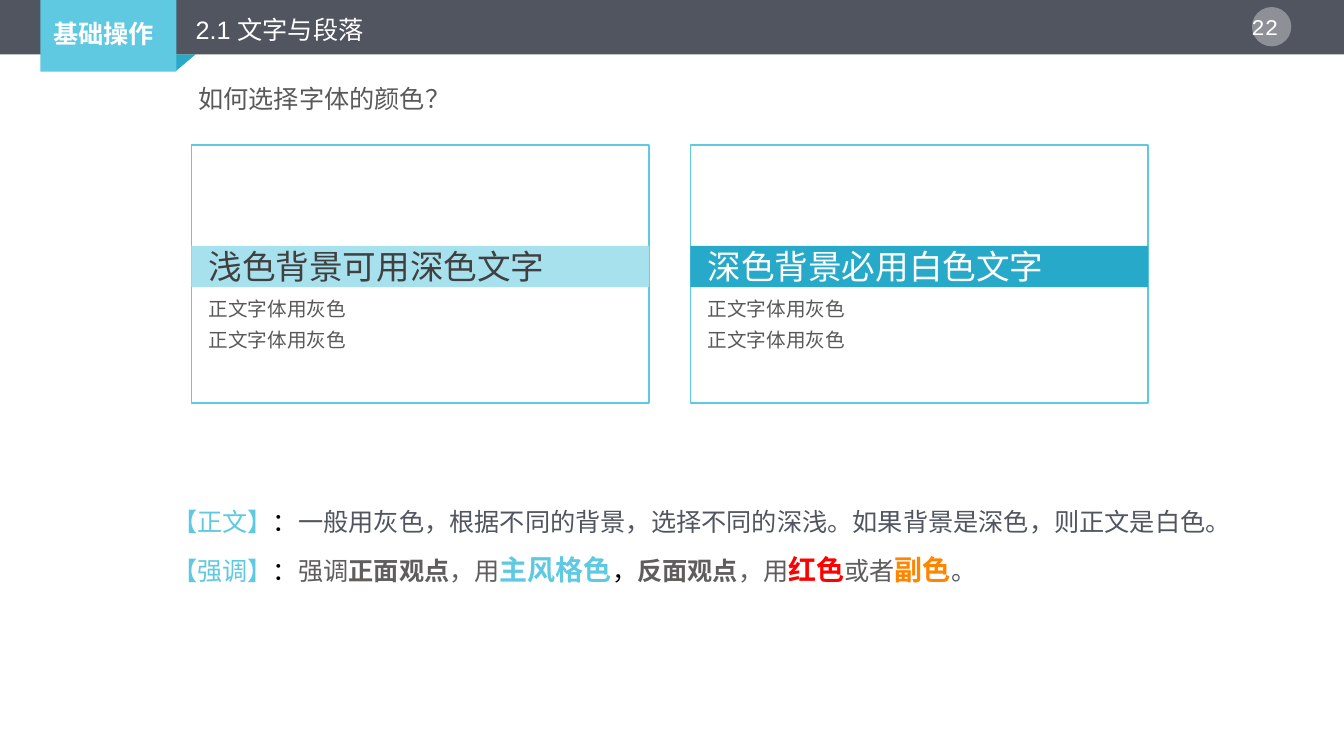
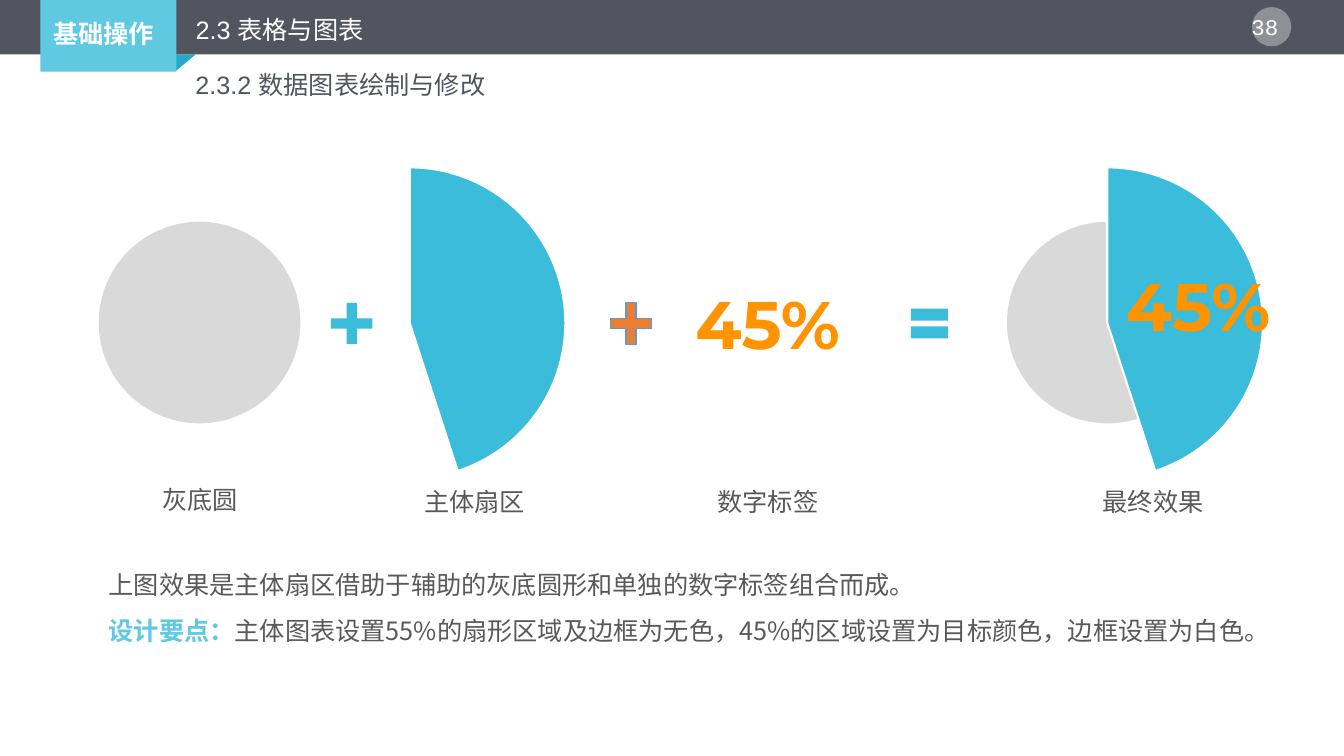
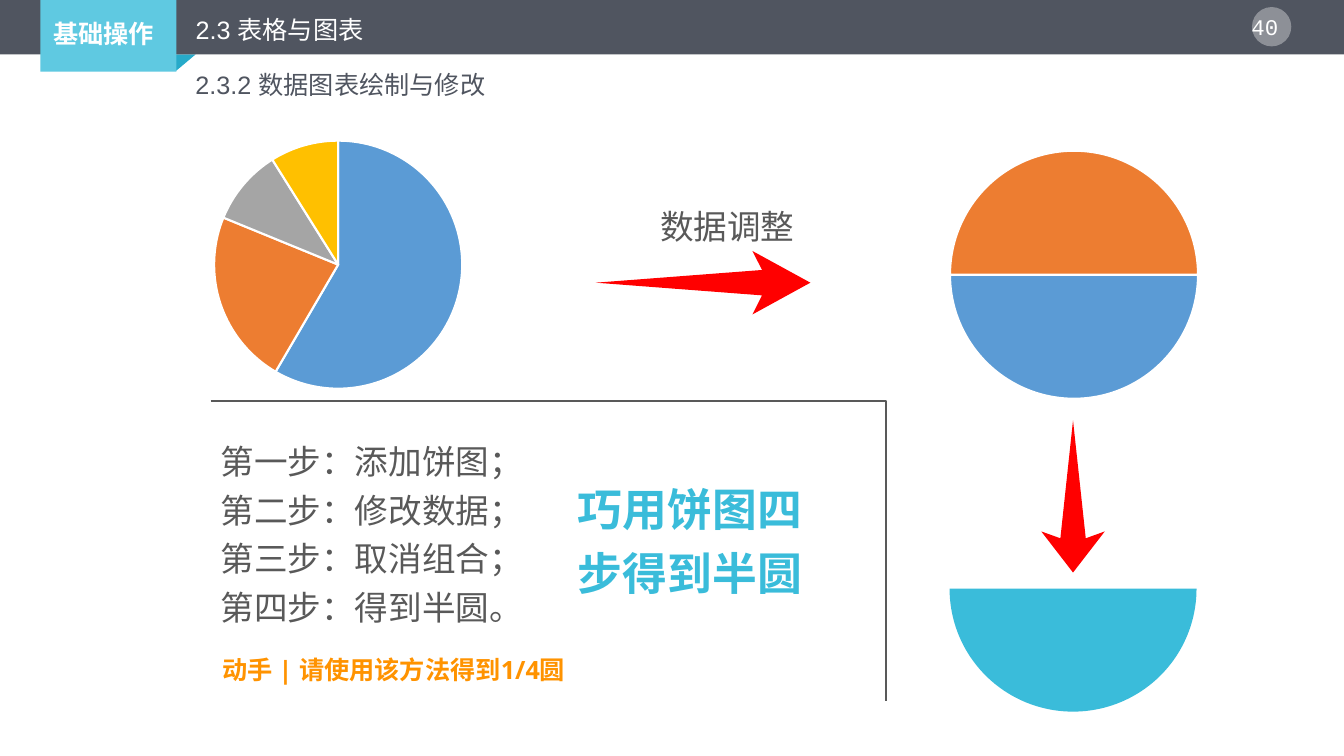
from dataclasses import dataclass
from typing import NamedTuple, Optional

import pptx
import pptx.chart.data
import pptx.dml.color
import pptx.enum.chart
import pptx.enum.lang
import pptx.enum.shapes
import pptx.enum.text
import pptx.oxml
import pptx.oxml.ns
import pptx.util

RGB = pptx.dml.color.RGBColor
SHAPE = pptx.enum.shapes.MSO_SHAPE
ALIGN = pptx.enum.text.PP_ALIGN
AUTO_SIZE = pptx.enum.text.MSO_AUTO_SIZE
qn = pptx.oxml.ns.qn

WHITE = RGB(0xFF, 0xFF, 0xFF)
BLACK = RGB(0, 0, 0)
SLATE = RGB(0x50, 0x55, 0x60)
GRAY = RGB(0x59, 0x59, 0x59)
WARM_GRAY = RGB(0x5F, 0x5E, 0x5C)
DARK_GRAY = RGB(0x40, 0x40, 0x40)
DISC_GRAY = RGB(0xD9, 0xD9, 0xD9)
SKY = RGB(0x5F, 0xC9, 0xE1)
PALE_SKY = RGB(0xA8, 0xE1, 0xEE)
DEEP_SKY = RGB(0x27, 0xAA, 0xC9)
CYAN = RGB(0x3A, 0xBC, 0xDA)
RED = RGB(0xFF, 0, 0)
AMBER = RGB(0xFF, 0x93, 0)
DARK_AMBER = RGB(0xFF, 0x85, 0)
BLUE = RGB(0x5B, 0x9B, 0xD5)
ORANGE = RGB(0xED, 0x7D, 0x31)
MID_GRAY = RGB(0xA5, 0xA5, 0xA5)
YELLOW = RGB(0xFF, 0xC0, 0)

ARIAL, NOTO, MONO = "Arial", "Noto Sans CJK SC", "Courier New"

# The grid has square cells of a tenth of an inch.
CELL = 0.1
COLS, ROWS = 133.33, 75


def grid(cells: float) -> int:
    """Length of a number of grid cells in EMU."""
    return pptx.util.Inches(cells * CELL)


class Box(NamedTuple):
    col: float
    row: float
    cols: float
    rows: float

    def emu(self) -> list[int]:
        return [grid(v) for v in self]


@dataclass(frozen=True)
class Run:
    text: str
    color: RGB = GRAY
    size: float = 18
    bold: bool = False
    font: str = NOTO


@dataclass(frozen=True)
class Para:
    runs: list[Run]
    spacing: float = 1.0
    align: ALIGN = ALIGN.LEFT


@dataclass(frozen=True)
class Card:
    col: float
    band: RGB
    title: str
    title_color: RGB


class Label(NamedTuple):
    col: float
    row: float
    cols: float
    text: str


def write(tf, paras: list[Para]) -> None:
    for i, para in enumerate(paras):
        p = tf.paragraphs[0] if i == 0 else tf.add_paragraph()
        p.line_spacing = para.spacing
        p.alignment = para.align
        for run in para.runs:
            r = p.add_run()
            r.text = run.text
            r.font.size = pptx.util.Pt(run.size)
            r.font.bold = run.bold
            r.font.name = run.font
            r.font.color.rgb = run.color
            r.font.language_id = pptx.enum.lang.MSO_LANGUAGE_ID.SIMPLIFIED_CHINESE
            ea = pptx.oxml.parse_xml(
                f'<a:ea {pptx.oxml.ns.nsdecls("a")} typeface="{NOTO}"/>')
            r._r.get_or_add_rPr().append(ea)


def add_text(shapes, box: Box, *paras: Para, wrap: bool = False) -> None:
    tf = shapes.add_textbox(*box.emu()).text_frame
    tf.word_wrap = wrap
    tf.auto_size = AUTO_SIZE.SHAPE_TO_FIT_TEXT
    write(tf, list(paras))


def paint(sp, fill: Optional[RGB], line: Optional[RGB] = None, width: float = 1) -> None:
    sp.shadow.inherit = False
    if fill is None:
        sp.fill.background()
    else:
        sp.fill.solid()
        sp.fill.fore_color.rgb = fill
    if line is None:
        sp.line.fill.background()
    else:
        sp.line.color.rgb = line
        sp.line.width = pptx.util.Pt(width)


def add_shape(shapes, kind: SHAPE, box: Box, fill: RGB, line: Optional[RGB] = None):
    sp = shapes.add_shape(kind, *box.emu())
    paint(sp, fill, line)
    return sp


def add_outline(shapes, points: list[tuple[float, float]], closed: bool = True):
    """Freeform through points given in grid cells."""
    start, *rest = [(grid(x), grid(y)) for x, y in points]
    builder = shapes.build_freeform(*start)
    builder.add_line_segments(rest, close=closed)
    return builder.convert_to_shape()


def add_arrow(shapes, box: Box, rotation: float = 0) -> None:
    """Tapered arrow that points right before it is turned."""
    shares = [(1, 0.5), (0.73, 0), (0.775, 0.3), (0, 0.5), (0.775, 0.7), (0.73, 1)]
    sp = add_outline(shapes, [(box.col + x * box.cols, box.row + y * box.rows)
                              for x, y in shares])
    paint(sp, RED)
    sp.rotation = rotation


def add_pie(shapes, box: Box, values: list[int], colors: list[Optional[RGB]],
            diameter: float, start: int = 0) -> None:
    """Pie of a given diameter in cells; a slice without colour is invisible."""
    data = pptx.chart.data.CategoryChartData()
    data.categories = [str(i + 1) for i in range(len(values))]
    data.add_series("Series 1", values)
    chart = shapes.add_chart(pptx.enum.chart.XL_CHART_TYPE.PIE, *box.emu(), data).chart
    chart.has_legend = False
    chart.has_title = False
    chart.font.size = pptx.util.Pt(10)
    chart.font.name = ARIAL
    chart.font.color.rgb = BLACK
    plot = chart.plots[0]
    plot.vary_by_categories = True
    for i, color in enumerate(colors):
        fmt = plot.series[0].points[i].format
        if color is None:
            fmt.fill.background()
            fmt.line.fill.background()
        else:
            fmt.fill.solid()
            fmt.fill.fore_color.rgb = color
            fmt.line.color.rgb = WHITE
            fmt.line.width = pptx.util.Pt(1.5)

    ns = pptx.oxml.ns.nsdecls("c")
    area = chart.element.find(".//" + qn("c:plotArea"))
    pie = area.find(qn("c:pieChart"))
    for old in pie.findall(qn("c:firstSliceAng")):
        pie.remove(old)
    pie.append(pptx.oxml.parse_xml(f'<c:firstSliceAng {ns} val="{start}"/>'))
    w, h = diameter / box.cols, diameter / box.rows
    for old in area.findall(qn("c:layout")):
        area.remove(old)
    area.insert(0, pptx.oxml.parse_xml(
        f'<c:layout {ns}><c:manualLayout><c:layoutTarget val="inner"/>'
        '<c:xMode val="edge"/><c:yMode val="edge"/>'
        f'<c:x val="{(1 - w) / 2:.3f}"/><c:y val="{(1 - h) / 2:.3f}"/>'
        f'<c:w val="{w:.3f}"/><c:h val="{h:.3f}"/></c:manualLayout></c:layout>'))


def add_header_to_layout(layout, slide) -> None:
    """Draw the shared header on a slide, then move it to the layout."""
    shapes = slide.shapes
    add_shape(shapes, SHAPE.ISOSCELES_TRIANGLE, Box(15.6, 5.4, 3.8, 1.6), DEEP_SKY).rotation = 180
    add_shape(shapes, SHAPE.RECTANGLE, Box(0, 0, COLS, 5.4), SLATE)
    add_shape(shapes, SHAPE.RECTANGLE, Box(4, 0, 13.5, 7.1), SKY)
    disc = add_shape(shapes, SHAPE.OVAL, Box(124.2, 0.7, 3.9, 3.9), WHITE)
    color = disc.element.spPr.find(".//" + qn("a:srgbClr"))
    color.append(pptx.oxml.parse_xml(
        f'<a:alpha {pptx.oxml.ns.nsdecls("a")} val="35000"/>'))
    add_text(shapes, Box(4.3, 1.3, 12.1, 4),
             Para([Run("基础操作", WHITE, bold=True, font=ARIAL)]))
    for i, sp in enumerate(list(shapes)):
        if not sp.is_placeholder:
            sp.element.nvSpPr.cNvPr.set("id", str(20 + i))
            layout.shapes.element.append(sp.element)


def start_slide(slide, title: str, number: int, subtitle: str = "") -> None:
    sp = slide.shapes.title
    sp.left, sp.top, sp.width, sp.height = Box(18.4, 0.3, 114.9, 4.6).emu()
    tf = sp.text_frame
    tf.word_wrap = True
    tf.auto_size = AUTO_SIZE.NONE
    tf.vertical_anchor = pptx.enum.text.MSO_ANCHOR.TOP
    write(tf, [Para([Run(title, WHITE, font=ARIAL)], 1.2)])
    add_text(slide.shapes, Box(122.6, 0.8, 7.1, 3.7),
             Para([Run(f"{number} ", WHITE, 16, font=MONO)], align=ALIGN.CENTER), wrap=True)
    if subtitle:
        add_text(slide.shapes, Box(18.4, 6.4, 31.1, 4),
                 Para([Run(subtitle, SLATE, font=ARIAL)]), wrap=True)


def add_card(shapes, card: Card) -> None:
    add_shape(shapes, SHAPE.RECTANGLE, Box(card.col, 14.4, 45.4, 25.6), WHITE, SKY)
    add_shape(shapes, SHAPE.RECTANGLE, Box(card.col, 24.4, 45.4, 4.1), card.band)
    text_col = card.col + 0.7
    add_text(shapes, Box(text_col, 23.9, 35.7, 5),
             Para([Run(card.title, card.title_color, 24)]))
    for row in (29, 32):
        add_text(shapes, Box(text_col, row, 15.8, 3.4), Para([Run("正文字体用灰色", size=14)]))


def build_text_colors(slide) -> None:
    shapes = slide.shapes
    start_slide(slide, "2.1 文字与段落", 22)
    add_text(shapes, Box(18.7, 7.2, 108.6, 4.3),
             Para([Run("如何选择字体的颜色？", font=ARIAL)], 1.2, ALIGN.JUSTIFY), wrap=True)
    for card in (Card(68.5, DEEP_SKY, "深色背景必用白色文字", WHITE),
                 Card(19, PALE_SKY, "浅色背景可用深色文字", DARK_GRAY)):
        add_card(shapes, card)
    add_text(
        shapes, Box(16.1, 48.2, 111.2, 10.6),
        Para([Run("【正文】", SKY), Run("：", BLACK),
              Run("一般用灰色，根据不同的背景，选择不同的深浅。如果背景是深色，则正文是白色。", SLATE)], 1.5),
        Para([Run("【强调】", SKY), Run("：", BLACK), Run("强调", WARM_GRAY),
              Run("正面观点", WARM_GRAY, bold=True), Run("，用", WARM_GRAY),
              Run("主风格色", SKY, 20, True), Run("，", BLACK),
              Run("反面观点", WARM_GRAY, bold=True), Run("，用", WARM_GRAY),
              Run("红色", RED, 20, True), Run("或者", WARM_GRAY),
              Run("副色", DARK_AMBER, 20, True), Run("。", SLATE)], 1.5),
        wrap=True)


def add_disc(shapes, col: float) -> None:
    add_shape(shapes, SHAPE.OVAL, Box(col, 22, 20, 20), DISC_GRAY)


def add_sector(shapes, col: float) -> None:
    add_pie(shapes, Box(col, 15.1, 35.1, 33.9), [45, 55], [CYAN, None], 30.9)


def add_percent(shapes, col: float, row: float) -> None:
    add_text(shapes, Box(col, row, 17.7, 9.1),
             Para([Run("45%", AMBER, 48, True, "Montserrat")]))


def build_sector_chart(slide) -> None:
    shapes = slide.shapes
    start_slide(slide, "2.3 表格与图表", 38, "2.3.2 数据图表绘制与修改")
    result = shapes.add_group_shape().shapes
    add_disc(result, 99.9)
    add_sector(result, 92.3)
    add_percent(result, 110.7, 25.7)

    add_percent(shapes, 68, 27.5)
    add_disc(shapes, 9.8)
    add_sector(shapes, 23.1)
    for col, fill, line in ((32.1, CYAN, None), (59.8, ORANGE, BLUE)):
        plus = add_shape(shapes, SHAPE.MATH_PLUS, Box(col, 29.3, 5.6, 5.6), fill, line)
        plus.adjustments[0] = 0.18
    add_shape(shapes, SHAPE.MATH_EQUAL, Box(89.7, 29.6, 5, 5), CYAN)

    add_text(
        shapes, Box(9.8, 55.4, 118.6, 9.2),
        Para([Run("上图效果是主体扇区借助于辅助的灰底圆形和单独的数字标签组合而成。")], 1.2),
        Para([Run("设计要点：", SKY, bold=True),
              Run("主体图表设置55%的扇形区域及边框为无色，45%的区域设置为目标颜色，边框设置为白色。")], 1.5),
        wrap=True)
    for label in (Label(15.1, 46.1, 9.6, "灰底圆"), Label(41.1, 46.3, 12.1, "主体扇区"),
                  Label(70.2, 46.3, 12.1, "数字标签"), Label(108.4, 46.3, 12.1, "最终效果")):
        add_text(shapes, Box(label.col, label.row, label.cols, 5),
                 Para([Run(label.text)], 1.5))


def build_half_circle(slide) -> None:
    shapes = slide.shapes
    start_slide(slide, "2.3 表格与图表", 40, "2.3.2 数据图表绘制与修改")
    add_pie(shapes, Box(12.9, 12.5, 41.3, 27.5), [59, 23, 10, 9],
            [BLUE, ORANGE, MID_GRAY, YELLOW], 24.6)
    add_pie(shapes, Box(85.9, 13.5, 41.3, 27.5), [50, 50], [BLUE, ORANGE], 24.6, 90)
    half = add_shape(shapes, SHAPE.CHORD, Box(94.2, 46.2, 24.5, 24.4), CYAN)
    half.adjustments[0] = 0
    half.adjustments[1] = 108  # 180 degrees

    add_arrow(shapes, Box(59.1, 24.9, 21.3, 6.3))
    add_arrow(shapes, Box(98.9, 46.1, 15.1, 6.3), 90)
    add_text(shapes, Box(64.5, 19.9, 15.5, 5), Para([Run("数据调整", size=24, font=ARIAL)]))
    frame = add_outline(shapes, [(20.9, 39.8), (87.9, 39.8), (87.9, 69.5)], closed=False)
    paint(frame, None, GRAY, 1.5)

    steps = ("第一步：添加饼图；", "第二步：修改数据；", "第三步：取消组合；", "第四步：得到半圆。")
    add_text(shapes, Box(20.9, 42.5, 60.6, 20),
             *[Para([Run(step, size=24)], 1.2) for step in steps], wrap=True)
    add_text(shapes, Box(56.2, 46.2, 24.5, 13.9),
             *[Para([Run(line, CYAN, 32, True, ARIAL)], 1.2, ALIGN.CENTER)
               for line in ("巧用饼图四", "步得到半圆")])
    add_text(shapes, Box(21.1, 64.4, 37.5, 4),
             Para([Run("动手 | 请使用该方法得到1/4圆", AMBER, bold=True, font="Open Sans")]),
             wrap=True)


def main() -> None:
    prs = pptx.Presentation()
    prs.slide_width, prs.slide_height = grid(COLS), grid(ROWS)
    layout = prs.slide_layouts[5]
    for build in (build_text_colors, build_sector_chart, build_half_circle):
        slide = prs.slides.add_slide(layout)
        if len(prs.slides) == 1:
            add_header_to_layout(layout, slide)
        build(slide)
    prs.save("out.pptx")


if __name__ == "__main__":
    main()
